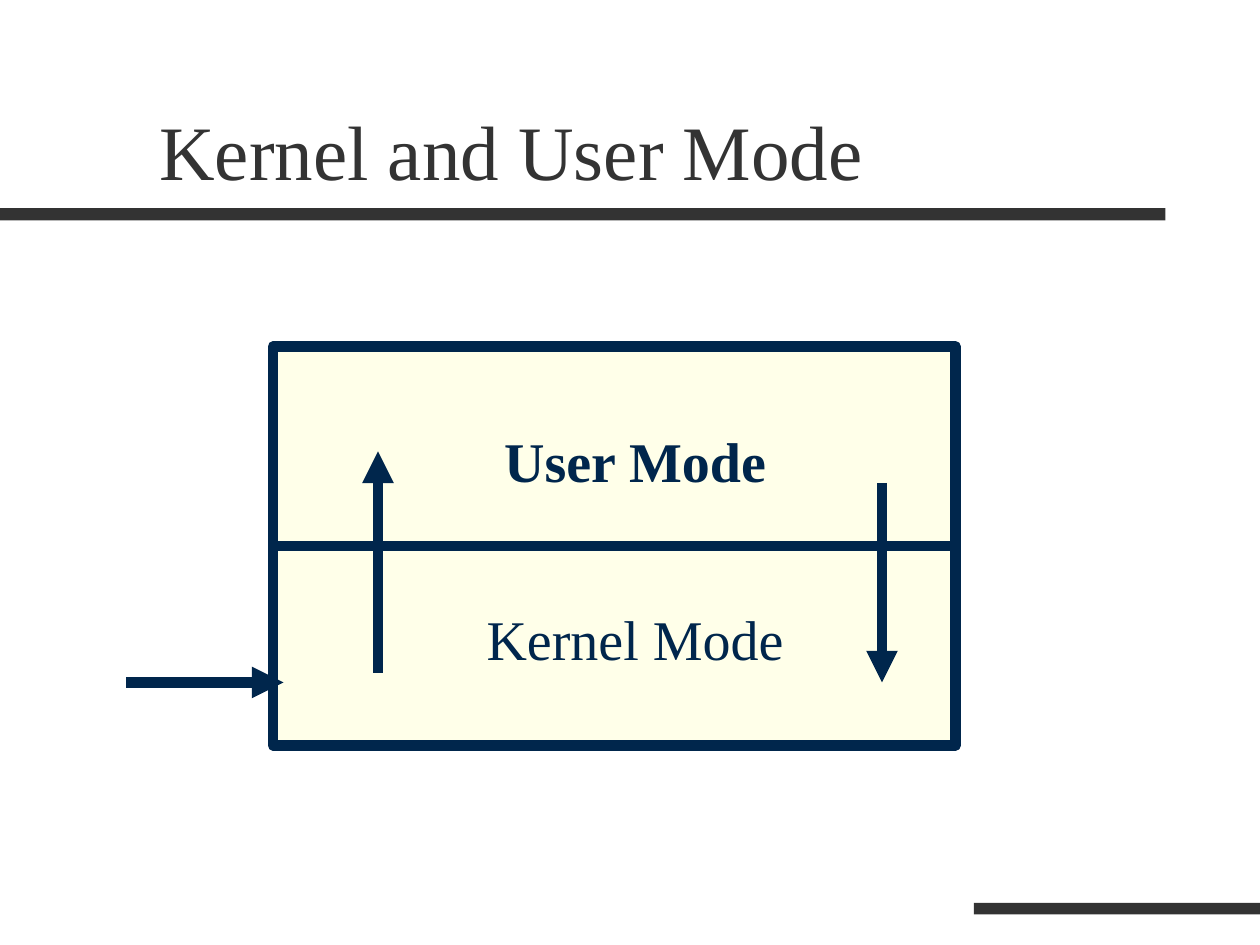
from pptx import Presentation
from pptx.dml.color import RGBColor
from pptx.enum.shapes import MSO_CONNECTOR as CONN, MSO_SHAPE as SHAPE
from pptx.enum.text import MSO_ANCHOR as ANCHOR, PP_ALIGN as ALIGN
from pptx.oxml.ns import qn
from pptx.util import Pt
from lxml.etree import SubElement

COLORS = {"bar": "333333", "navy": "00264C", "cream": "FFFFE9"}
FONT = "Times New Roman"
LINE_WIDTH = 6


def color(name):
    return RGBColor.from_string(COLORS[name])


def add_rect(s, x, y, w, h, fill, line=None):
    sp = s.shapes.add_shape(SHAPE.RECTANGLE, Pt(x), Pt(y), Pt(w), Pt(h))
    sp.shadow.inherit = False
    sp.fill.solid()
    sp.fill.fore_color.rgb = color(fill)
    if line:
        sp.line.color.rgb = color(line)
        sp.line.width = Pt(LINE_WIDTH)
    else:
        sp.line.fill.background()
    return sp


def add_line(s, x1, y1, x2, y2, arrow=False):
    cx = s.shapes.add_connector(CONN.STRAIGHT, Pt(x1), Pt(y1), Pt(x2), Pt(y2))
    cx.line.color.rgb = color("navy")
    cx.line.width = Pt(LINE_WIDTH)
    if arrow:
        SubElement(cx.line._get_or_add_ln(), qn("a:tailEnd"), type="triangle")
    SubElement(cx._element.spPr, qn("a:effectLst"))
    return cx


def add_text(s, text, x, y, w, h, size=32, fill="navy", bold=False,
             align=ALIGN.CENTER, anchor=ANCHOR.TOP, before=3.6, bottom=3.6):
    tf = s.shapes.add_textbox(Pt(x), Pt(y), Pt(w), Pt(h)).text_frame
    tf.word_wrap = True
    tf.vertical_anchor = anchor
    tf.margin_bottom = Pt(bottom)
    p = tf.paragraphs[0]
    p.alignment = align
    p.space_before = Pt(before)
    r = p.add_run()
    r.text = text
    r.font.name = FONT
    r.font.size = Pt(size)
    r.font.bold = bold
    r.font.color.rgb = color(fill)


def main():
    prs = Presentation()
    prs.slide_width, prs.slide_height = Pt(720), Pt(540)
    s = prs.slides.add_slide(prs.slide_layouts[6])

    # Title and decorative bars
    add_rect(s, 0, 119, 666, 7, "bar")
    add_rect(s, 556.5, 516, 163.5, 6.5, "bar")
    add_text(s, "Kernel and User Mode", 84, 24, 612, 90, size=44, fill="bar",
             align=ALIGN.LEFT, anchor=ANCHOR.BOTTOM, before=0, bottom=2)

    # Box split into the two modes
    box = add_rect(s, 156, 198, 390, 228, "cream", line="navy")
    divider = add_line(s, 156, 312, 546, 312)
    divider.begin_connect(box, 1)
    divider.end_connect(box, 3)
    add_text(s, "Kernel Mode", 222, 342, 282, 46)
    add_text(s, "User Mode", 222, 240, 282, 46, bold=True)

    # Switches between modes, and entry into the kernel
    for ends in ((216, 384.5, 216, 258), (504, 276, 504, 390), (72, 390, 162, 390)):
        add_line(s, *ends, arrow=True)

    prs.save("out.pptx")


if __name__ == "__main__":
    main()
